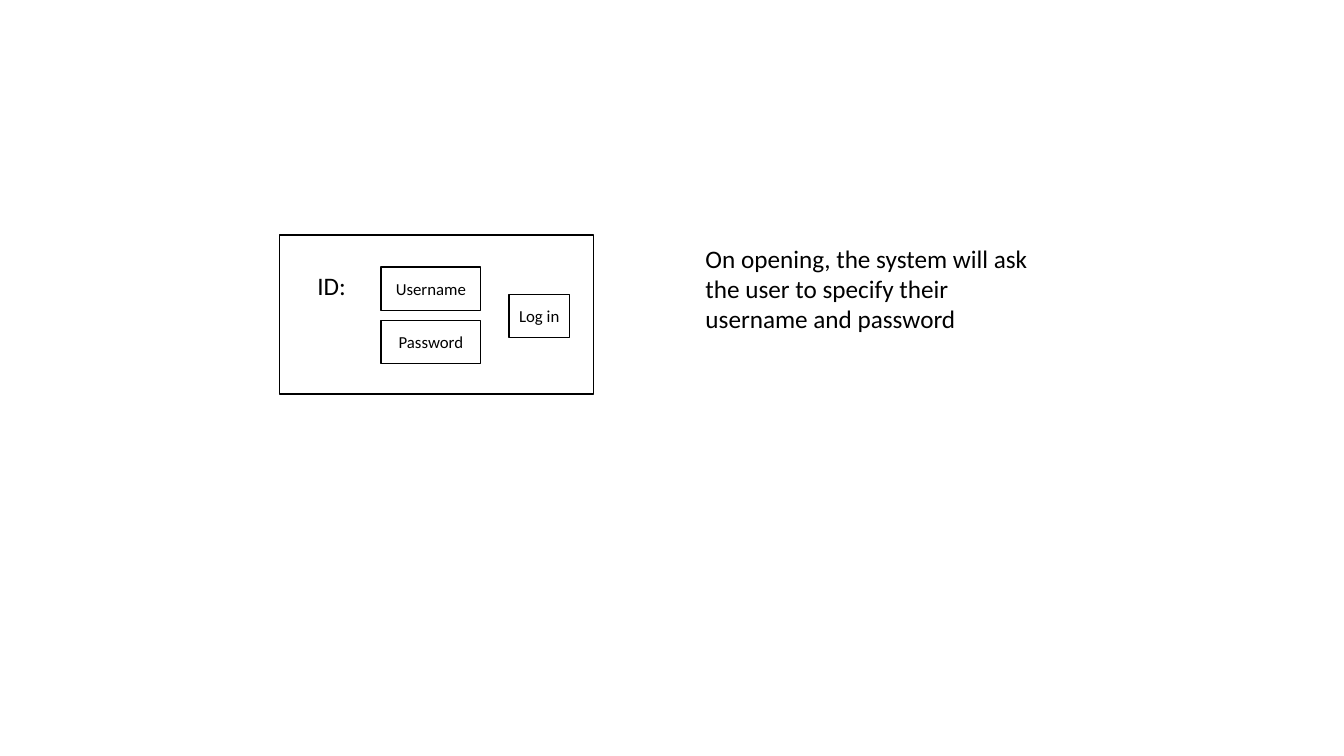
import pptx
import pptx.dml.color
import pptx.enum.shapes
import pptx.enum.text
import pptx.util

BLACK = pptx.dml.color.RGBColor(0x00, 0x00, 0x00)
WHITE = pptx.dml.color.RGBColor(0xFF, 0xFF, 0xFF)

# The slide is a grid of square cells, a tenth of an inch wide
CELL = pptx.util.Inches(0.1)
COLUMNS, ROWS = 133.33, 75

LABEL_FONT = {"name": "Calibri", "size": pptx.util.Pt(12)}
BODY_FONT = {"name": "Calibri", "size": pptx.util.Pt(18)}


def cells(*lengths):
    """Turn grid cells into slide lengths."""
    return [round(length * CELL) for length in lengths]


def write(frame, wording, font_format, frame_format):
    """Put one formatted paragraph into a text frame."""
    for name, value in frame_format.items():
        setattr(frame, name, value)
    run = frame.paragraphs[0].add_run()
    run.text = wording
    for name, value in font_format.items():
        setattr(run.font, name, value)
    run.font.color.rgb = BLACK


def add_frame(slide, box, wording=""):
    """Draw a white rectangle with a black outline and a centred label."""
    frame = slide.shapes.add_shape(
        pptx.enum.shapes.MSO_SHAPE.RECTANGLE, *cells(*box))
    frame.shadow.inherit = False
    frame.fill.solid()
    frame.fill.fore_color.rgb = WHITE
    frame.line.color.rgb = BLACK
    frame.line.width = pptx.util.Pt(1)
    if wording:
        write(frame.text_frame, wording, LABEL_FONT, {
            "word_wrap": False,
            "vertical_anchor": pptx.enum.text.MSO_ANCHOR.MIDDLE})
        frame.text_frame.paragraphs[0].alignment = pptx.enum.text.PP_ALIGN.CENTER


def add_note(slide, box, wording, wrap):
    """Write plain body text."""
    note = slide.shapes.add_textbox(*cells(*box))
    write(note.text_frame, wording, BODY_FONT, {
        "word_wrap": wrap,
        "auto_size": pptx.enum.text.MSO_AUTO_SIZE.SHAPE_TO_FIT_TEXT})


def add_login_form(slide, box):
    """Place the login window and its controls relative to its box."""
    left, top, width, height = box
    add_frame(slide, box)

    # Entry fields, stacked at an equal step
    field_height, field_step = 4.3, 5.3
    for row, field in enumerate(("Username", "Password")):
        add_frame(slide, (left + 10.1, top + 3.2 + row * field_step,
                          9.9, field_height), field)

    # Caption on the left, button on the right
    add_note(slide, (left + 2.8, top + 3, 4.9, 4), "ID:", wrap=False)
    add_frame(slide, (left + 22.8, top + 5.9, 6, field_height), "Log in")


def add_explanation(slide, box):
    """Describe what the login window does."""
    add_note(slide, box, "On opening, the system will ask the user to specify "
             "their username and password", wrap=True)


def main():
    presentation = pptx.Presentation()
    presentation.slide_width, presentation.slide_height = cells(COLUMNS, ROWS)
    slide = presentation.slides.add_slide(presentation.slide_layouts[6])
    add_login_form(slide, (27.7, 23.3, 31.2, 15.8))
    add_explanation(slide, (69, 23.6, 35.5, 10.1))
    presentation.save("out.pptx")


if __name__ == "__main__":
    main()
